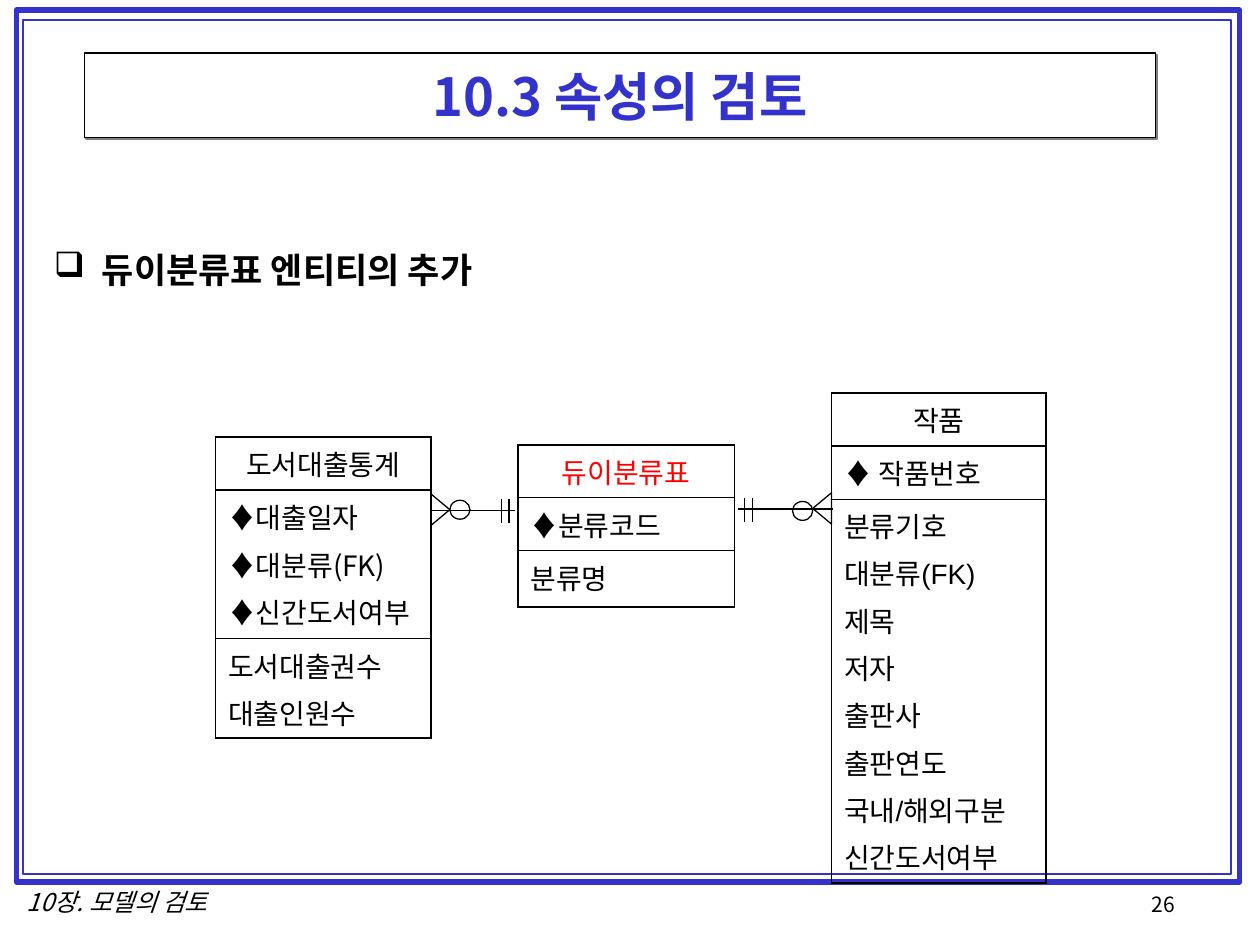
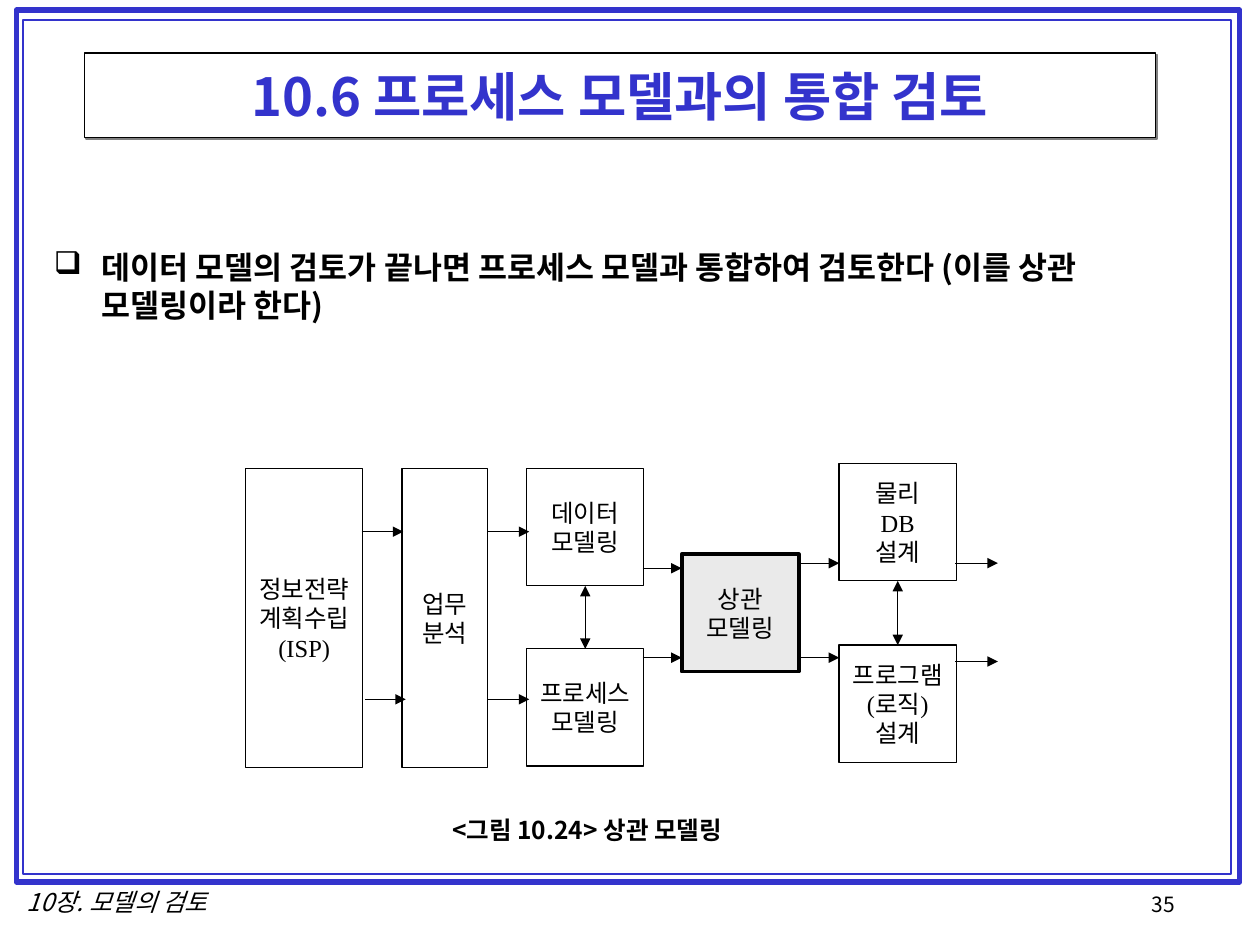
"""Build two slides on reviewing attributes and merging the process model."""
from lxml.etree import SubElement
from pptx import Presentation
from pptx.dml.color import RGBColor
from pptx.enum.shapes import MSO_CONNECTOR, MSO_SHAPE
from pptx.enum.text import MSO_ANCHOR, MSO_AUTO_SIZE, PP_ALIGN
from pptx.oxml.ns import qn
from pptx.util import Inches, Pt

BLUE, BLACK, WHITE, RED, GRAY = "3333CC", "000000", "FFFFFF", "FF0000", "EAEAEA"
NOTO, ARIAL, TIMES = "Noto Sans CJK KR", "Arial", "Times New Roman"
RECT, OVAL, FOOT = MSO_SHAPE.RECTANGLE, MSO_SHAPE.OVAL, MSO_SHAPE.ISOSCELES_TRIANGLE
LEFT, MID = PP_ALIGN.LEFT, PP_ALIGN.CENTER
hue = RGBColor.from_string


def write(frame, lines, size, face=NOTO, ink=BLACK, align=LEFT, gap=0, **style):
    """Fill a text frame, one paragraph a line."""
    for num, line in enumerate(lines):
        para = frame.add_paragraph() if num else frame.paragraphs[0]
        form = {"alignment": align, "space_before": Pt(gap)}
        for key, val in form.items():
            setattr(para, key, val)
        for part in filter(None, line.partition("♦")):
            run = para.add_run()
            run.text = part
            font = {"size": Pt(size), "name": ARIAL if part == "♦" else face, **style}
            for key, val in font.items():
                setattr(run.font, key, val)
            run.font.color.rgb = hue(ink)
            SubElement(run.font._element, qn("a:ea"), typeface=NOTO)


def link(slide, ends, tips=()):
    """Draw a thin straight line with arrowheads at the named tips."""
    line = slide.shapes.add_connector(MSO_CONNECTOR.STRAIGHT, *map(Inches, ends))
    line.line.width = Pt(0.75)
    line.line.color.rgb = hue(BLACK)
    props = line.element.spPr
    for tip in tips:
        SubElement(props.find(qn("a:ln")), qn(f"a:{tip}"), type="triangle")
    SubElement(props, qn("a:effectLst"))
    return line


HEAD, TAIL = "headEnd", "tailEnd"
SIDE, ROW = 0.93, 0.42

tables = [
    ((6.6, 3.12, 1.7), (ROW, ROW, 3.05), ARIAL, BLACK, [
        ["작품"], ["♦ 작품번호"],
        ["분류기호", "대분류(FK)", "제목", "저자", "출판사", "출판연도",
         "국내/해외구분", "신간도서여부"]]),
    ((1.71, 3.47, 1.71), (ROW, 1.18, 0.79), NOTO, BLACK, [
        ["도서대출통계"], ["♦대출일자", "♦대분류(FK)", "♦신간도서여부"],
        ["도서대출권수", "대출인원수"]]),
    ((4.11, 3.53, 1.72), (ROW, ROW, 0.45), NOTO, RED, [
        ["듀이분류표"], ["♦분류코드"], ["분류명"]]),
]
marks = [
    (OVAL, (6.29, 3.98, 0.16, 0.15), 0, None, BLACK, 0.75, []),
    (FOOT, (6.4, 3.96, 0.25, 0.15), 270, None, BLACK, 0.75, []),
    (OVAL, (3.57, 3.97, 0.16, 0.15), 180, None, BLACK, 0.75, []),
    (FOOT, (3.37, 3.97, 0.25, 0.15), 90, None, BLACK, 0.75, []),
]
bars = [((x, y, x, y + 0.19), ()) for x, y in
        [(5.91, 3.95), (5.97, 3.95), (3.98, 3.96), (4.04, 3.96)]]
bars += [((6.61, 4.04, 5.86, 4.04), ()), ((4.09, 4.05, 3.43, 4.05), ())]

steps = [
    (RECT, at, 0, fill, BLACK, width, lines) for at, fill, width, lines in [
        ((1.95, 3.72, SIDE, 2.37), WHITE, 0.75, ["정보전략", "계획수립", "(ISP)"]),
        ((3.19, 3.72, 0.68, 2.37), WHITE, 0.75, ["업무", "분석"]),
        ((4.18, 3.72, SIDE, SIDE), WHITE, 0.5, ["데이터", "모델링"]),
        ((4.18, 5.15, SIDE, SIDE), WHITE, 0.75, ["프로세스", "모델링"]),
        ((5.41, 4.4, SIDE, SIDE), GRAY, 2.25, ["상관", "모델링"]),
        ((6.66, 3.68, SIDE, SIDE), WHITE, 0.75, ["물리", "DB", "설계"]),
        ((6.66, 5.12, SIDE, SIDE), WHITE, 0.75, ["프로그램", "(로직)", "설계"]),
    ]
]
flows = [((a, y, b, y), (TAIL,)) for a, b, y in [
    (2.87, 3.2, 4.22), (2.9, 3.22, 5.55), (3.87, 4.2, 4.22), (3.87, 4.2, 5.55),
    (5.1, 5.41, 4.51), (5.1, 5.41, 5.22), (6.35, 6.66, 4.47), (6.35, 6.66, 5.22),
    (7.58, 7.92, 4.47), (7.58, 7.92, 5.25)]]

pages = [
    {"title": "10.3 속성의 검토", "page": "26", "size": 20, "gap": 5,
     "body": "듀이분류표 엔티티의 추가", "tables": tables,
     "boxes": marks, "links": bars, "joins": [], "notes": []},
    {"title": "10.6 프로세스 모델과의 통합 검토", "page": "35", "size": 18, "gap": 4.5,
     "body": "데이터 모델의 검토가 끝나면 프로세스 모델과 통합하여 검토한다 "
             "(이를 상관 모델링이라 한다)", "tables": [],
     "boxes": steps, "links": flows, "joins": [(2, 3), (5, 6)],
     "notes": [((3.49, 6.42, 2.53, 0.34), "<그림 10.24> 상관 모델링",
                {"size": 14, "bold": True})]},
]
shared = [
    (RECT, (0.13, 0.08, 9.71, 6.92), 0, None, BLUE, 3, []),
    (RECT, (0.18, 0.16, 9.59, 6.78), 0, None, BLUE, 1, []),
    (RECT, (0.67, 0.42, 8.5, 0.67), 0, WHITE, BLACK, 0.75, []),
]

deck = Presentation()
deck.slide_width, deck.slide_height = Inches(10), Inches(7.5)

for page in pages:
    slide = deck.slides.add_slide(deck.slide_layouts[6])

    made = []
    for kind, at, turn, fill, edge, width, lines in shared + page["boxes"]:
        box = slide.shapes.add_shape(kind, *map(Inches, at))
        box.rotation = turn
        box.shadow.inherit = False
        box.line.color.rgb = hue(edge)
        box.line.width = Pt(width)
        if fill:
            box.fill.solid()
            box.fill.fore_color.rgb = hue(fill)
        else:
            box.fill.background()
        if lines:
            box.text_frame.word_wrap = False
            box.text_frame.vertical_anchor = MSO_ANCHOR.MIDDLE
            write(box.text_frame, lines, 14, TIMES, align=MID)
        made.append(box)

    title = made[2]
    title.text_frame.vertical_anchor = MSO_ANCHOR.MIDDLE
    write(title.text_frame, [page["title"]], 30, ink=BLUE, align=MID, bold=True)
    glow = SubElement(title.element.spPr.find(qn("a:effectLst")), qn("a:outerShdw"),
                      dist=str(Pt(1.4)), dir="2700000", algn="ctr", rotWithShape="0")
    SubElement(glow, qn("a:srgbClr"), val="808080")

    body = slide.shapes.add_textbox(*map(Inches, (0.33, 1.92, 9.27, 4.87)))
    body.text_frame.word_wrap = True
    write(body.text_frame, [page["body"]], page["size"], gap=page["gap"], bold=True)
    props = body.text_frame.paragraphs[0]._p.get_or_add_pPr()
    props.set("marL", str(Inches(0.38)))
    props.set("indent", str(Inches(-0.38)))
    SubElement(SubElement(props, qn("a:buClr")), qn("a:srgbClr"), val=BLACK)
    SubElement(props, qn("a:buChar"), char="❑")

    foot = [
        ((9.04, 7.03, 1.02, 0.33), page["page"], {"size": 12}),
        ((0.04, 6.99, 1.78, 0.34), "10장. 모델의 검토",
         {"size": 14, "align": MID, "italic": True}),
    ]
    for at, text, style in foot + page["notes"]:
        note = slide.shapes.add_textbox(*map(Inches, at)).text_frame
        note.word_wrap = False
        note.auto_size = MSO_AUTO_SIZE.SHAPE_TO_FIT_TEXT
        write(note, [text], **style)

    for at, highs, face, ink, rows in page["tables"]:
        size = map(Inches, (*at, sum(highs)))
        grid = slide.shapes.add_table(len(rows), 1, *size).table
        grid.first_row = grid.horz_banding = False
        for num, lines in enumerate(rows):
            grid.rows[num].height = Inches(highs[num])
            cell = grid.cell(num, 0)
            write(cell.text_frame, lines, 16, face, BLACK if num else ink,
                  LEFT if num else MID, gap=4)
            props = cell._tc.get_or_add_tcPr()
            for side in "LRTB":
                thin = (num, side) in [(1, "B"), (2, "T")]
                edge = SubElement(props, qn(f"a:ln{side}"), w=str(Pt(0.45 if thin else 1.08)))
                SubElement(SubElement(edge, qn("a:solidFill")), qn("a:srgbClr"), val=BLACK)
            cell.fill.background()

    for ends, tips in page["links"]:
        link(slide, ends, tips)
    nodes = made[len(shared):]
    for top, low in page["joins"]:
        line = link(slide, (0, 0, 1, 1), (HEAD, TAIL))
        line.begin_connect(nodes[top], 2)
        line.end_connect(nodes[low], 0)

deck.save("out.pptx")
